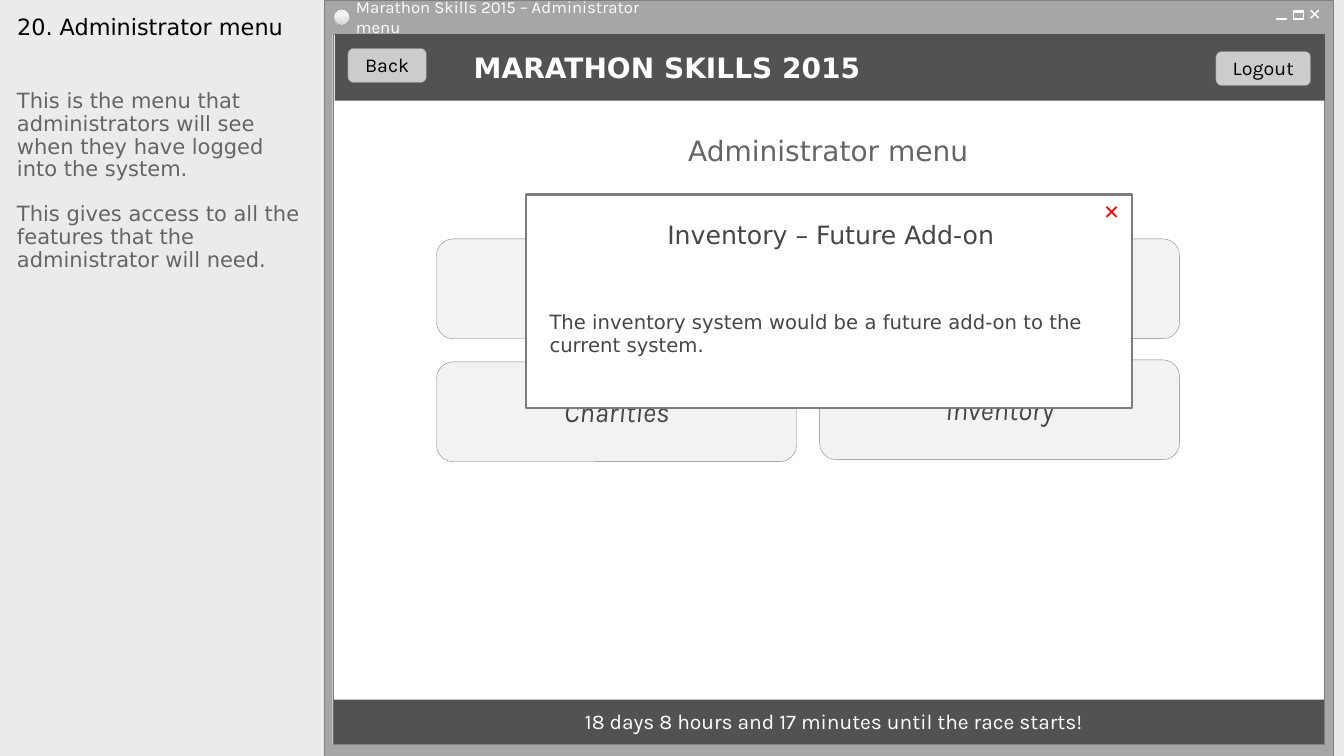
from copy import deepcopy
from pptx import Presentation
from pptx.dml.color import RGBColor
from pptx.enum.shapes import MSO_CONNECTOR, MSO_SHAPE
from pptx.enum.text import MSO_ANCHOR, MSO_AUTO_SIZE, PP_ALIGN
from pptx.oxml.ns import qn
from pptx.util import Inches, Pt
from lxml.etree import SubElement

COLS, ROWS = 1333, 750
HUES = {
    "page": "EBEBEB", "frame": "A6A6A6", "edge": "808080", "white": "FFFFFF",
    "bar": "525252", "card": "F2F2F2", "key": "CCCCCC", "shade": "D9D9D9",
    "rim": "7C7C7C", "slot": "919191", "black": "000000", "grey": "656565",
    "ink": "464646", "red": "FF0000",
}
SANS, KARLA = "DejaVu Sans", "Karla"
LEFT, MID = PP_ALIGN.LEFT, PP_ALIGN.CENTER
TOP, CEN = MSO_ANCHOR.TOP, MSO_ANCHOR.MIDDLE
BOX, ROUND, OVAL = MSO_SHAPE.RECTANGLE, MSO_SHAPE.ROUNDED_RECTANGLE, MSO_SHAPE.OVAL

FLAT, LABEL = (0, 0, 0, 0), (10, 2, 10, 3)
KEY, NOTE = (10, 0, 10, 1), (10, 5, 10, 5)
STYLES = {
    "title": (dict(name=SANS, size=Pt(16)), "black", LEFT, TOP, NOTE),
    "notes": (dict(name=SANS, size=Pt(15)), "grey", LEFT, TOP, NOTE),
    "window": (dict(name=KARLA, size=Pt(12)), "white", LEFT, CEN, (5, 2, 10, 3)),
    "brand": (dict(name=SANS, size=Pt(20), bold=True), "white", LEFT, CEN, LABEL),
    "timer": (dict(name=KARLA, size=Pt(15)), "white", MID, CEN, LABEL),
    "head": (dict(name=SANS, size=Pt(20)), "grey", MID, CEN, LABEL),
    "key": (dict(name=KARLA, size=Pt(14)), "black", MID, CEN, KEY),
    "card": (dict(name=KARLA, size=Pt(20), italic=True), "ink", MID, CEN, KEY),
    "popup": (dict(name=SANS, size=Pt(18)), "ink", MID, CEN, FLAT),
    "body": (dict(name=SANS, size=Pt(14)), "ink", LEFT, TOP, FLAT),
    "close": (dict(name=SANS, size=Pt(14)), "red", MID, CEN, FLAT),
}
TITLE = "20. Administrator menu"
NOTES = [
    "This is the menu that administrators will see when they have logged into the system.",
    "This gives access to all the features that the administrator will need.",
]
FRAME = [
    (BOX, (322, 0, 1000, 750), "frame", "edge", 0.25),
    (BOX, (330, 34, 983, 704), "white", "edge", 0.25),
    (BOX, (1283, 11, 10, 1), "slot", "white", 0.25),
    (BOX, (1283, 11, 10, 8), None, "white", 1),
    (BOX, (1266, 18, 10, 1), "slot", "white", 0.25),
    (BOX, (332, 34, 982, 66), "bar", None, 0),
    (BOX, (331, 694, 982, 44), "bar", None, 0),
]
BALL = (331, 9, 16, 16)
SHINE = [(0.36, "card"), (0.91, "shade"), (1, "card")]
CROSS = [(1300, 10, 1308, 18), (1308, 10, 1300, 18)]
KEYS = [("Back", (345, 48, 78, 34)), ("Logout", (1206, 51, 94, 34))]
CARDS = [["", ""], ["Charities", "Inventory"]]
CARDX, CARDY = (433, 813), ((237, 237), (359, 357))
POPUP = (522, 193, 601, 212)
LABELS = [
    ("window", "Marathon Skills 2015 – Administrator menu", (348, 5, 336, 25)),
    ("brand", "MARATHON SKILLS 2015", (460, 48, 426, 39)),
    ("timer", "18 days 8 hours and 17 minutes until the race starts!", (433, 701, 788, 30)),
    ("head", "Administrator menu", (455, 130, 733, 39)),
]
INSIDE = [
    ("popup", "Inventory – Future Add-on", (585, 218, 478, 30)),
    ("body", "The inventory system would be a future add-on to the current system.",
     (545, 307, 555, 47)),
    ("close", "✕", (1080, 198, 45, 24)),
]

deck = Presentation()
deck.slide_width, deck.slide_height = Inches(13.33), Inches(7.5)
UNIT = deck.slide_width / COLS
slide = deck.slides.add_slide(deck.slide_layouts[5])
parts = slide.shapes


def grid(spot):
    return [round(n * UNIT) for n in spot]


def tint(name):
    return RGBColor.from_string(HUES[name])


def write(shape, style, lines, lead=None):
    form, hue, align, anchor, pads = STYLES[style]
    frame = shape.text_frame
    frame.word_wrap, frame.auto_size = True, MSO_AUTO_SIZE.NONE
    frame.vertical_anchor = anchor
    for side, pad in zip(("left", "top", "right", "bottom"), grid(pads)):
        setattr(frame, "margin_" + side, pad)
    frame.text = "\n".join(lines)
    for i, para in enumerate(frame.paragraphs):
        para.alignment = align
        if lead:
            para.line_spacing = lead
        if i:
            para.space_before = Pt(16)
        font = para.runs[0].font
        for key, value in form.items():
            setattr(font, key, value)
        font.color.rgb = tint(hue)


def label(style, text, spot):
    write(parts.add_textbox(*grid(spot)), style, [text])


def draw(kind, spot, fill, line, width):
    shape = parts.add_shape(kind, *grid(spot))
    shape.shadow.inherit = False
    if fill:
        shape.fill.solid()
        shape.fill.fore_color.rgb = tint(fill)
    else:
        shape.fill.background()
    if line:
        shape.line.color.rgb = tint(line)
        shape.line.width = Pt(width)
    else:
        shape.line.fill.background()
    return shape


def shine(shape):
    shape.fill.gradient()
    shape.fill.gradient_angle = 270
    stops = shape.fill.gradient_stops
    last = shape._element.spPr.find(".//" + qn("a:gs"))
    last.addnext(deepcopy(last))
    stops = shape.fill.gradient_stops
    for stop, (place, hue) in zip(stops, SHINE):
        stop.position = place
        stop.color.rgb = tint(hue)


def stroke(ends):
    line = parts.add_connector(MSO_CONNECTOR.STRAIGHT, *grid(ends))
    line.line.color.rgb = tint("white")
    line.line.width = Pt(1)
    SubElement(line._element.spPr, qn("a:effectLst"))


def main():
    paper = slide.background.fill
    paper.solid()
    paper.fore_color.rgb = tint("page")
    title = parts.title
    title.left, title.top, title.width, title.height = grid((7, 11, 301, 73))
    write(title, "title", [TITLE], 0.9)
    write(parts.add_textbox(*grid((7, 85, 301, 647))), "notes", NOTES, 0.9)
    for item in FRAME:
        draw(*item)
    shine(draw(OVAL, BALL, "card", "edge", 0.25))
    for ends in CROSS:
        stroke(ends)
    for item in LABELS:
        label(*item)
    for text, spot in KEYS:
        write(draw(ROUND, spot, "key", "edge", 0.25), "key", [text])
    for row, tops in zip(CARDS, CARDY):
        for text, x, y in zip(row, CARDX, tops):
            card = draw(ROUND, (x, y, 357, 99), "card", "edge", 0.25)
            if text:
                write(card, "card", [text])
    draw(BOX, POPUP, "white", "rim", 1.5)
    for item in INSIDE:
        label(*item)
    deck.save("out.pptx")


if __name__ == "__main__":
    main()
